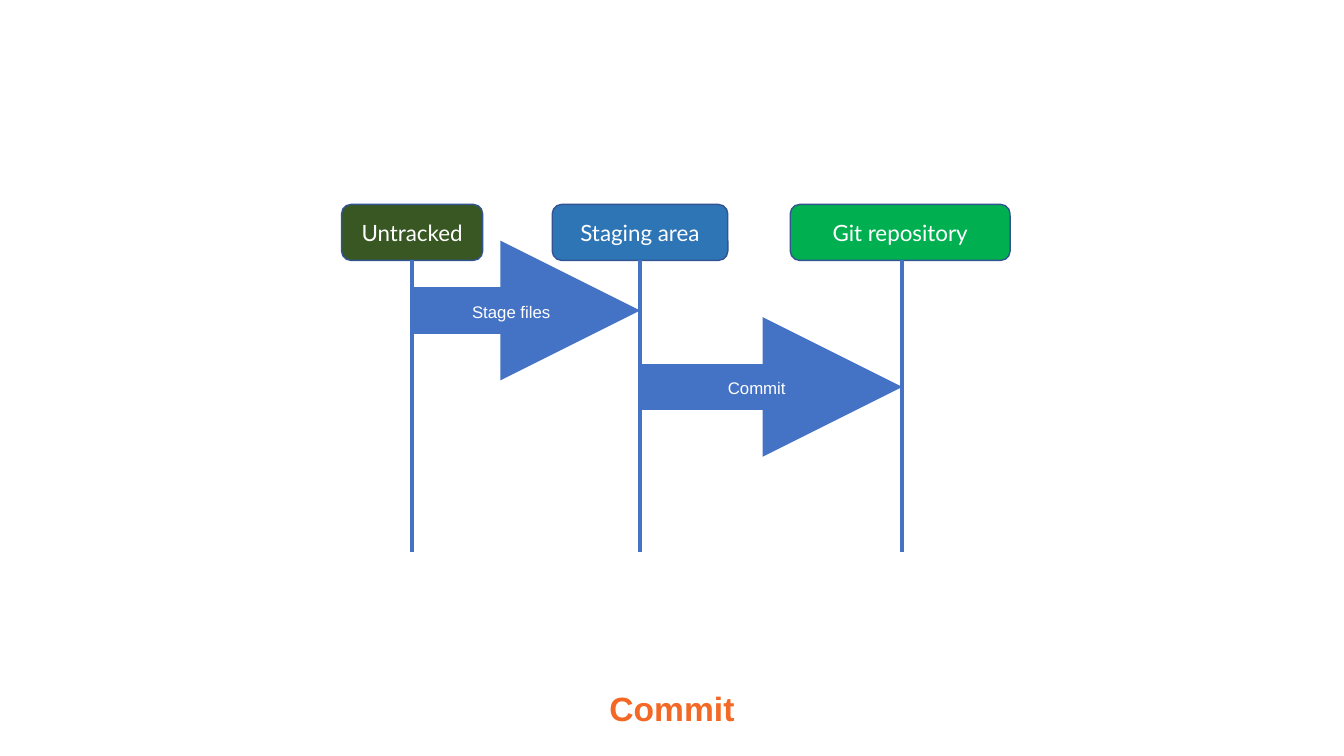
from dataclasses import dataclass

import pptx
import pptx.dml.color
import pptx.enum.shapes
import pptx.enum.text
import pptx.oxml
import pptx.oxml.ns
import pptx.util

Pt = pptx.util.Pt
SHAPES = pptx.enum.shapes.MSO_SHAPE
BLUE = "4472C4"
WHITE = "FFFFFF"
STAGE_TOP, STAGE_HEIGHT = 146, 40
LIFELINE_TOP, LIFELINE_BOTTOM = 186, 394


@dataclass
class Stage:
    name: str
    left: float
    width: float
    fill: str
    lifeline: float


@dataclass
class Step:
    name: str
    source: Stage
    target: Stage
    middle: float
    label_left: float
    label_top: float
    label_width: float


UNTRACKED = Stage("Untracked", 244, 100.8, "385723", 294.4)
STAGING = Stage("Staging area", 394.5, 125.4, "2E75B6", 457.2)
REPOSITORY = Stage("Git repository", 564.5, 157, "00B050", 644.4)
STAGES = [UNTRACKED, STAGING, REPOSITORY]
STEPS = [
    Step("Stage files", UNTRACKED, STAGING, 221.8, 328.5, 212.2, 73.4),
    Step("Commit", STAGING, REPOSITORY, 276.4, 504.6, 266, 72),
]


def color(value: str) -> pptx.dml.color.RGBColor:
    return pptx.dml.color.RGBColor.from_string(value)


def write(shape, text: str, font: str, size: float, text_color: str, bold: bool = False) -> None:
    frame = shape.text_frame
    frame.word_wrap = True
    para = frame.paragraphs[0]
    para.text = text
    para.alignment = pptx.enum.text.PP_ALIGN.CENTER
    para.font.name = font
    para.font.size = Pt(size)
    para.font.bold = bold
    para.font.color.rgb = color(text_color)


def add_box(page, kind, left: float, top: float, width: float, height: float, fill: str, outline: str):
    box = page.shapes.add_shape(kind, Pt(left), Pt(top), Pt(width), Pt(height))
    box.shadow.inherit = False
    box.fill.solid()
    box.fill.fore_color.rgb = color(fill)
    box.line.color.rgb = color(outline)
    box.line.width = Pt(1)
    return box


def add_label(page, text: str, left: float, top: float, width: float, height: float,
              size: float, text_color: str, bold: bool = False) -> None:
    label = page.shapes.add_textbox(Pt(left), Pt(top), Pt(width), Pt(height))
    write(label, text, "Arial", size, text_color, bold)
    label.text_frame.auto_size = pptx.enum.text.MSO_AUTO_SIZE.SHAPE_TO_FIT_TEXT


def add_line(page, x1: float, y1: float, x2: float, y2: float, width: float, arrow: bool = False) -> None:
    line = page.shapes.add_connector(
        pptx.enum.shapes.MSO_CONNECTOR.STRAIGHT, Pt(x1), Pt(y1), Pt(x2), Pt(y2))
    line.line.color.rgb = color(BLUE)
    line.line.width = Pt(width)
    if arrow:
        head = pptx.oxml.parse_xml(f'<a:tailEnd {pptx.oxml.ns.nsdecls("a")} type="triangle"/>')
        line.line._get_or_add_ln().append(head)
    effects = pptx.oxml.parse_xml(f'<a:effectLst {pptx.oxml.ns.nsdecls("a")}/>')
    line._element.spPr.append(effects)


def main() -> None:
    deck = pptx.Presentation()
    deck.slide_width, deck.slide_height = Pt(960), Pt(540)
    page = deck.slides.add_slide(deck.slide_layouts[6])

    # Panel and title
    add_box(page, SHAPES.RECTANGLE, 220.3, 112.3, 519.8, 316, WHITE, WHITE)
    add_label(page, "Commit", 400, 488, 160, 36, 24, "F36825", bold=True)

    # Stages
    for stage in STAGES:
        box = add_box(page, SHAPES.ROUNDED_RECTANGLE, stage.left, STAGE_TOP,
                      stage.width, STAGE_HEIGHT, stage.fill, "325491")
        write(box, stage.name, "Lato", 16, WHITE)
        box.text_frame.vertical_anchor = pptx.enum.text.MSO_ANCHOR.MIDDLE

    # Lifelines
    for stage in STAGES:
        add_line(page, stage.lifeline, LIFELINE_TOP, stage.lifeline, LIFELINE_BOTTOM, 3)

    # Steps between stages
    for step in STEPS:
        add_line(page, step.source.lifeline, step.middle, step.target.lifeline, step.middle,
                 33.25, arrow=True)
        add_label(page, step.name, step.label_left, step.label_top, step.label_width, 21.8, 12, WHITE)

    deck.save("out.pptx")


if __name__ == "__main__":
    main()
